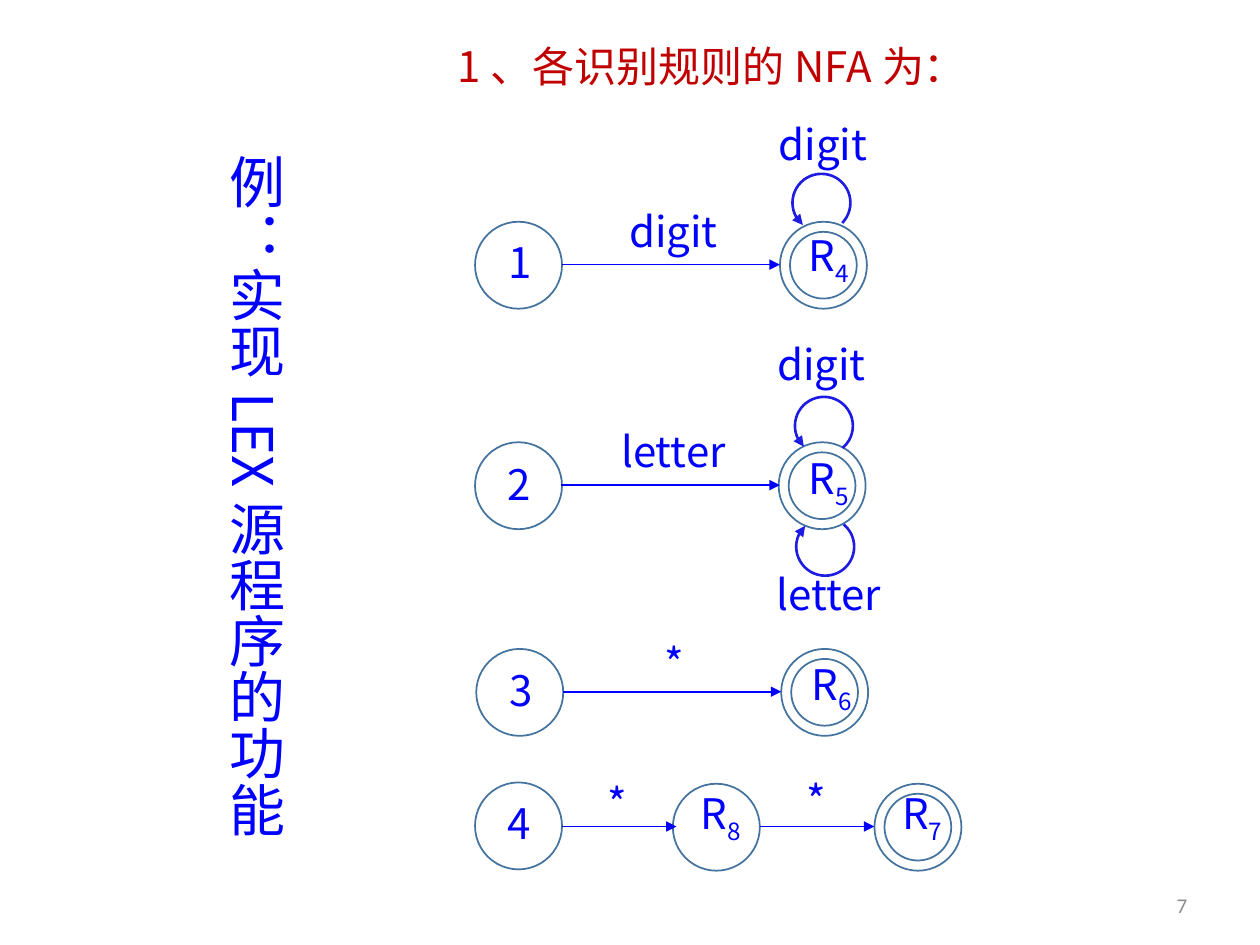
import lxml.etree
import pptx
import pptx.dml.color
import pptx.enum.shapes
import pptx.enum.text
import pptx.oxml.ns
import pptx.util

BLUE = pptx.dml.color.RGBColor(0x00, 0x00, 0xFF)
LOOP_BLUE = pptx.dml.color.RGBColor(0x1E, 0x1C, 0xE3)
STATE_BLUE = pptx.dml.color.RGBColor(0x43, 0x73, 0x9E)
RED = pptx.dml.color.RGBColor(0xC0, 0x00, 0x00)
GRAY = pptx.dml.color.RGBColor(0x8C, 0x8C, 0x8C)
FONT = "Noto Sans CJK SC"
Align = pptx.enum.text.PP_ALIGN
Shape = pptx.enum.shapes.MSO_SHAPE
qn = pptx.oxml.ns.qn

presentation = pptx.Presentation()
presentation.slide_width = pptx.util.Inches(10)
presentation.slide_height = pptx.util.Inches(7.5)
slide = presentation.slides.add_slide(presentation.slide_layouts[6])
shapes = slide.shapes

# Every length below counts cells of a grid with 100 columns and 75 rows.
CELL = presentation.slide_width / 100
STATE, INNER, LOOP = 6.9, 5.3, 4.6
LABEL_HEIGHT = 5.2


def add_text(text, left, top, width, height, size=24, color=BLUE, font=FONT,
             align=Align.CENTER, subscript=""):
    """Add a text box measured in grid cells; return its text frame."""
    box = shapes.add_textbox(*(round(n * CELL) for n in (left, top, width, height)))
    frame = box.text_frame
    frame.word_wrap = True
    frame.vertical_anchor = pptx.enum.text.MSO_ANCHOR.MIDDLE
    paragraph = frame.paragraphs[0]
    paragraph.alignment = align
    paragraph.font.size = pptx.util.Pt(size)
    paragraph.font.color.rgb = color
    paragraph.font.name = font
    for part in filter(None, (text, subscript)):
        run = paragraph.add_run()
        run.text = part
        properties = run._r.get_or_add_rPr()
        if part == subscript:
            properties.set("baseline", "-25000")
        lxml.etree.SubElement(properties, qn("a:ea"), typeface=font)
    return frame


def draw_line(shape, color, width, arrow_end=None):
    """Style an outline; arrow_end is headEnd (start), tailEnd (finish) or None."""
    shape.line.color.rgb = color
    shape.line.width = pptx.util.Pt(width)
    if arrow_end:
        lxml.etree.SubElement(shape.line._get_or_add_ln(), qn("a:" + arrow_end),
                              type="triangle")


title = add_text("例：实现LEX源程序的功能", 13.3, 11.3, 13.2, 59, size=32,
                 font="Noto Sans CJK JP")
title.paragraphs[0].line_spacing = 0.9
title._txBody.bodyPr.set("vert", "eaVert")

heading = add_text("1、各识别规则的NFA为：", 35.3, 2.7, 42.4, 6, color=RED,
                   align=Align.LEFT)
heading.vertical_anchor = pptx.enum.text.MSO_ANCHOR.TOP
heading.paragraphs[0].space_before = pptx.util.Pt(6)
heading.paragraphs[0].space_after = pptx.util.Pt(6)
indent = heading.paragraphs[0]._p.get_or_add_pPr()
indent.set("marL", str(pptx.util.Inches(0.25)))
indent.set("indent", str(-pptx.util.Inches(0.25)))

add_text("7", 90, 69.8, 5.2, 4, size=12, color=GRAY, font="Calibri", align=Align.RIGHT)

# Centre column and row, name, subscript, accepting, label offset from the centre
states = [
    (41.15, 21.05, "1", "", False, 0.15, -0.25),
    (65.35, 21.05, "R", "4", True, 0.45, -0.55),
    (41.15, 38.55, "2", "", False, 0.05, -0.15),
    (65.25, 38.55, "R", "5", True, 0.55, -0.35),
    (41.25, 54.95, "3", "", False, 0.15, -0.25),
    (65.45, 54.95, "R", "6", True, 0.55, -0.45),
    (41.15, 65.55, "4", "", False, 0.05, -0.25),
    (56.85, 65.65, "R", "8", False, 0.35, -0.85),
    (72.85, 65.65, "R", "7", True, 0.35, -0.85),
]
for x, y, name, subscript, accepting, shift_x, shift_y in states:
    for diameter in (STATE, INNER) if accepting else (STATE,):
        circle = shapes.add_shape(
            Shape.OVAL, round((x - diameter / 2) * CELL), round((y - diameter / 2) * CELL),
            round(diameter * CELL), round(diameter * CELL))
        circle.shadow.inherit = False
        circle.fill.background()
        draw_line(circle, STATE_BLUE, 1)
    add_text(name, x + shift_x - 3.7, y + shift_y - LABEL_HEIGHT / 2, 7.4, LABEL_HEIGHT,
             subscript=subscript)

# Start column, end column, row, symbol, then left, top and width of its label
transitions = [
    (44.6, 61.9, 21, "digit", 47.1, 15.7, 12.7),
    (44.5, 61.9, 38.5, "letter", 47.1, 33.2, 12.7),
    (44.7, 62, 54.9, "*", 47.2, 50, 12.7),
    (44.6, 53.7, 65.6, "*", 45.3, 61.1, 7.4),
    (60.3, 69.4, 65.6, "*", 61.1, 60.9, 7.4),
]
for start, end, row, symbol, left, top, width in transitions:
    arrow = shapes.add_connector(
        pptx.enum.shapes.MSO_CONNECTOR.STRAIGHT, round(start * CELL), round(row * CELL),
        round(end * CELL), round(row * CELL))
    draw_line(arrow, BLUE, 1, "tailEnd")
    lxml.etree.SubElement(arrow._element.spPr, qn("a:effectLst"))
    add_text(symbol, left, top, width, LABEL_HEIGHT)

# Left, top, start and end angle in degrees, flipped, symbol, label left and top
loops = [
    (62.9, 13.8, 129.85, 44.22, False, "digit", 59.2, 8.8),
    (63.1, 31.5, 133.83, 50.25, False, "digit", 59.1, 26.3),
    (63.2, 41.1, 133.83, 50.25, True, "letter", 59.7, 44.5),
]
for left, top, start, end, flipped, symbol, label_left, label_top in loops:
    arc = shapes.add_shape(Shape.ARC, round(left * CELL), round(top * CELL),
                           round(LOOP * CELL), round(LOOP * CELL))
    arc.shadow.inherit = False
    arc.fill.background()
    # Arc adjustments count 60000ths of a degree, scaled by 100000.
    arc.adjustments[0] = start * 0.6
    arc.adjustments[1] = end * 0.6
    if flipped:
        arc._element.spPr.xfrm.set("flipV", "1")
    draw_line(arc, LOOP_BLUE, 1.5, "headEnd")
    add_text(symbol, label_left, label_top, 12.2, LABEL_HEIGHT)

presentation.save("out.pptx")
